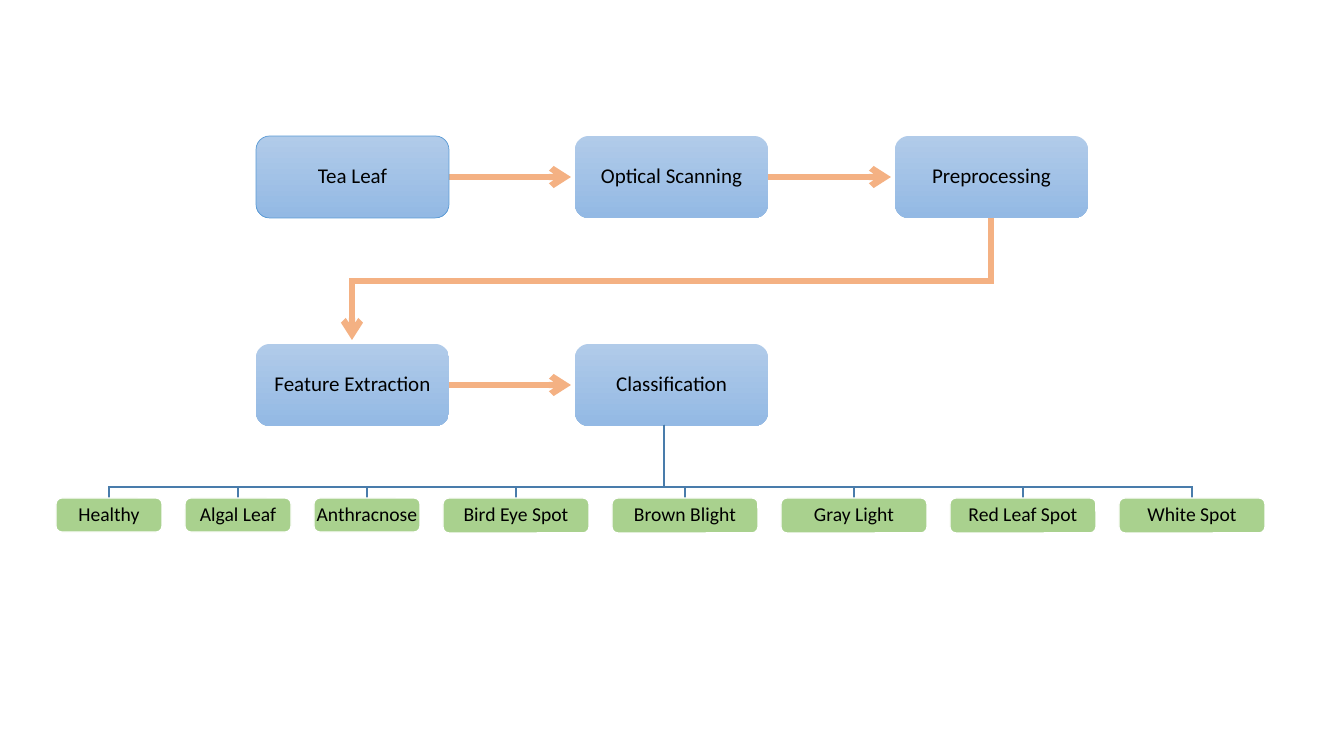
from lxml.etree import SubElement as Sub
from pptx import Presentation
from pptx.dml.color import RGBColor as Rgb
from pptx.enum.shapes import MSO_CONNECTOR as Conn, MSO_SHAPE as Form
from pptx.enum.text import MSO_ANCHOR as Anchor, PP_ALIGN as Align
from pptx.oxml.ns import qn
from pptx.util import Pt

STEPS = [
    ("Tea Leaf", 0, 0),
    ("Optical Scanning", 1, 0),
    ("Preprocessing", 2, 0),
    ("Feature Extraction", 0, 1),
    ("Classification", 1, 1),
]
LEAVES = [
    ("Healthy", 106, 34),
    ("Algal Leaf", 106, 34),
    ("Anthracnose", 106, 34),
    ("Bird Eye Spot", 146, 35),
    ("Brown Blight", 146, 35),
    ("Gray Light", 146, 35),
    ("Red Leaf Spot", 146, 35),
    ("White Spot", 146, 35),
]
HUES = {"light": "B1CBE9", "deep": "93B9E4", "edge": "5B9BD5", "arrow": "F4B183",
        "tree": "497CAB", "leaf": "A9D18E", "white": "FFFFFF", "text": "000000"}
PX = 914400 / 100.8
BOX_W, BOX_H, TIP = 193, 82, 4
LEAF_X, LEAF_Y, GAP = 56, 498, 23
STEM, RAIL = 664, 487


def emu(*vals):
    return [round(v * PX) for v in vals]


def hue(name):
    return Rgb.from_string(HUES[name])


def ink(line, name, size):
    line.color.rgb = hue(name)
    line.width = Pt(size)


def block(text, at, size, inset):
    item = slide.shapes.add_shape(Form.ROUNDED_RECTANGLE, *emu(*at))
    item.shadow.inherit = False
    frame = item.text_frame
    pad = emu(inset)[0]
    look = {"word_wrap": inset > 1, "vertical_anchor": Anchor.MIDDLE,
            "margin_left": pad, "margin_right": pad,
            "margin_top": pad, "margin_bottom": pad}
    for key, val in look.items():
        setattr(frame, key, val)
    para = frame.paragraphs[0]
    para.alignment, para.line_spacing = Align.CENTER, 0.9
    run = para.add_run()
    run.text = text
    for key, val in {"name": "Calibri", "size": Pt(size)}.items():
        setattr(run.font, key, val)
    run.font.color.rgb = hue("text")
    return item


def route(spots, name, size, head=False):
    if len(spots) == 2:
        item = slide.shapes.add_connector(Conn.STRAIGHT, *emu(*spots[0], *spots[1]))
        Sub(item._element.spPr, qn("a:effectLst"))
    else:
        pen = slide.shapes.build_freeform(*spots[0], scale=PX)
        pen.add_line_segments(spots[1:], close=False)
        item = pen.convert_to_shape()
        item.fill.background()
        item.shadow.inherit = False
    ink(item.line, name, size)
    tag = item.line._get_or_add_ln()
    Sub(tag, qn("a:miter"), lim="800000")
    if head:
        Sub(tag, qn("a:tailEnd"), type="arrow")


def corner(col, row):
    return 256 + col * 639 // 2, 136 + row * 208


deck = Presentation()
deck.slide_width, deck.slide_height = emu(1344, 756)
slide = deck.slides.add_slide(deck.slide_layouts[6])

for (_, col, row), (_, *after) in zip(STEPS, STEPS[1:]):
    x, y = corner(col, row)
    left, top = corner(*after)
    if top == y:
        mid = y + BOX_H // 2
        spots = [(x + BOX_W, mid), (left - TIP, mid)]
    else:
        start, end, turn = x + BOX_W // 2, left + BOX_W // 2, (y + BOX_H + top) // 2
        spots = [(start, y + BOX_H - 1), (start, turn), (end, turn), (end, top - TIP)]
    route(spots, "arrow", 4.5, True)

for text, col, row in STEPS:
    box = block(text, (*corner(col, row), BOX_W, BOX_H), 15, 12)
    box.fill.gradient()
    box.fill.gradient_angle = 270
    for stop, name in zip(box.fill.gradient_stops, ("light", "deep")):
        stop.color.rgb = hue(name)
    if text == STEPS[0][0]:
        ink(box.line, "edge", 0.5)
    else:
        box.line.fill.background()

root = corner(1, 1)[1] + BOX_H - 1
left = LEAF_X
for text, wide, tall in LEAVES:
    mid = left + wide // 2
    route([(STEM, root), (STEM, RAIL), (mid, RAIL), (mid, LEAF_Y)], "tree", 1)
    leaf = block(text, (left, LEAF_Y, wide, tall), 14, 1)
    leaf.fill.solid()
    leaf.fill.fore_color.rgb = hue("leaf")
    ink(leaf.line, "white", 1)
    left += wide + GAP

deck.save("out.pptx")
